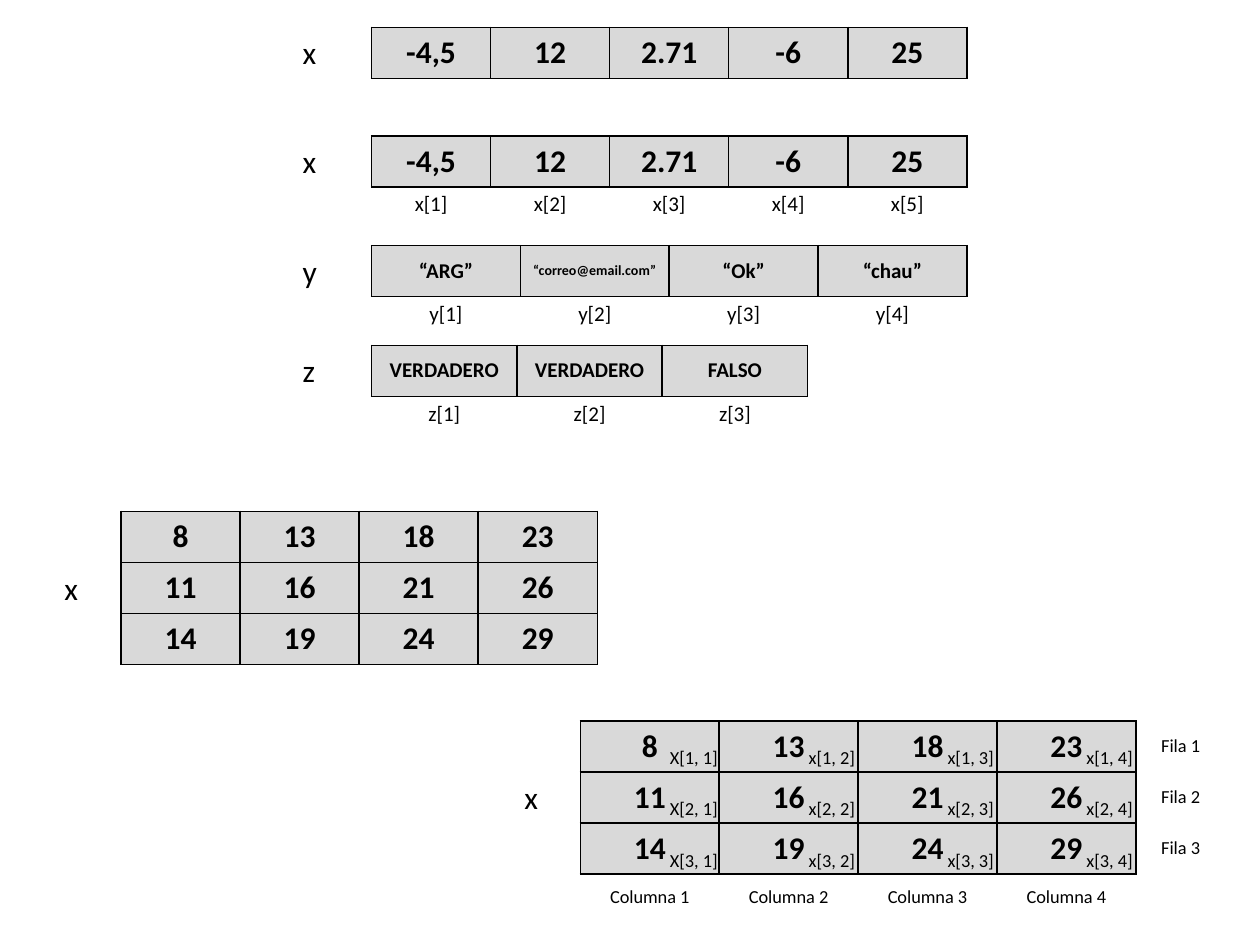
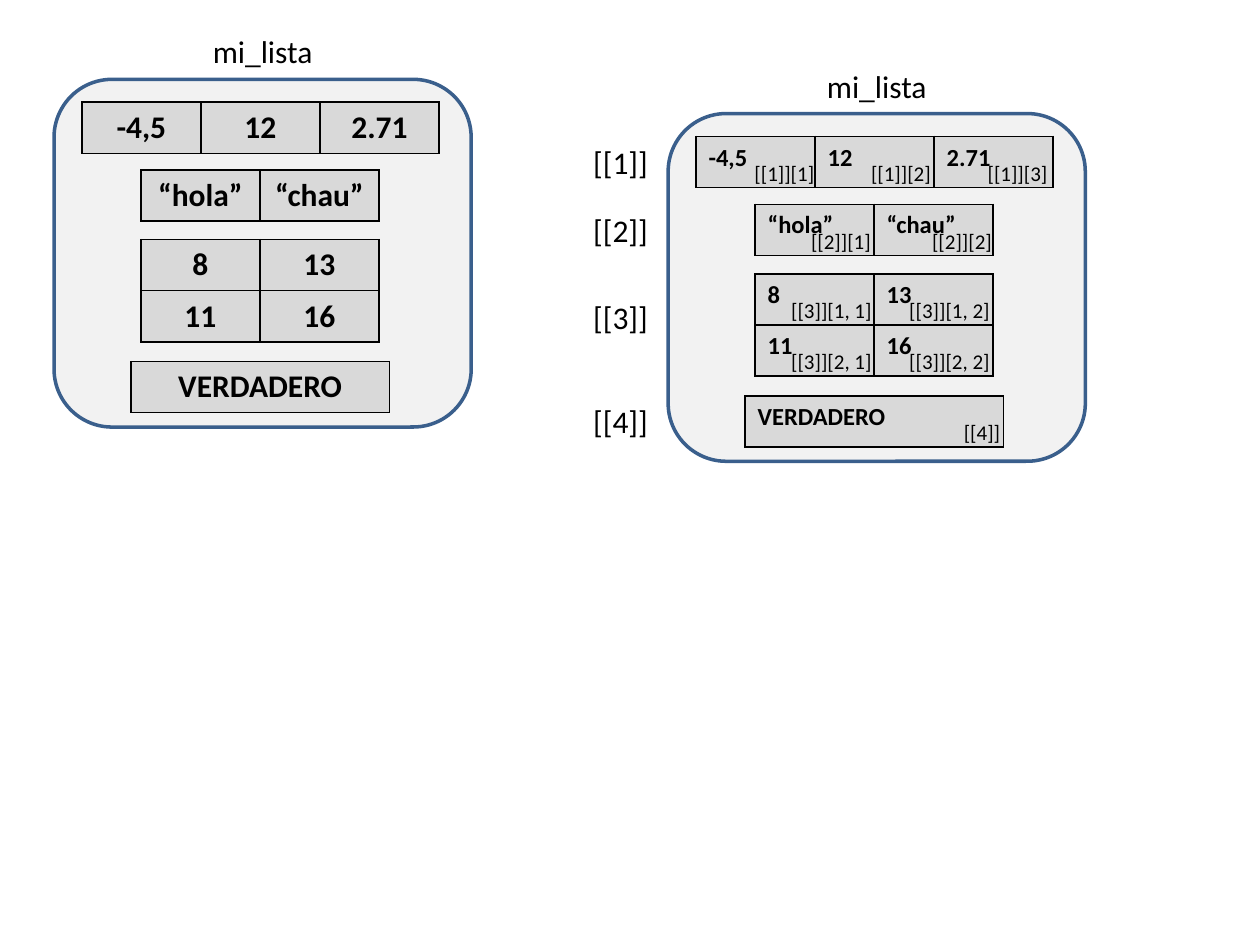
from lxml import etree
from pptx import Presentation
from pptx.dml.color import RGBColor
from pptx.enum import shapes, text
from pptx.oxml import ns
from pptx.util import Cm, Pt

BLACK = RGBColor(0x00, 0x00, 0x00)
CELL_GREY = RGBColor(0xD9, 0xD9, 0xD9)
PANEL_GREY = RGBColor(0xF2, 0xF2, 0xF2)
PANEL_BLUE = RGBColor(0x3A, 0x5F, 0x8C)
FONT = "Calibri"
CENTER, LEFT = text.PP_ALIGN.CENTER, text.PP_ALIGN.LEFT
TOP, MIDDLE = text.MSO_ANCHOR.TOP, text.MSO_ANCHOR.MIDDLE

ROW_H, COL_W, LABEL_H = 1.03, 2.4, 0.6
VECTOR_X, NAME_X, INDEX_DY = 7.49, 6.1, 1.0
NUMBERS = ["-4,5", "12", "2.71", "-6", "25"]
VECTORS = [
    dict(name="x", top=0.55, col=COL_W, size=18, indexed=False, values=NUMBERS),
    dict(name="x", top=2.74, col=COL_W, size=18, indexed=True, values=NUMBERS),
    dict(name="y", top=4.95, col=3.0, size=12, indexed=True,
         values=["“ARG”", "“correo@email.com”", "“Ok”", "“chau”"]),
    dict(name="z", top=6.96, col=2.93, size=12, indexed=True,
         values=["VERDADERO", "VERDADERO", "FALSO"]),
]
SMALL_TEXT = {"“correo@email.com”": 8}

MATRIX = [["8", "13", "18", "23"], ["11", "16", "21", "26"], ["14", "19", "24", "29"]]
MATRICES = [
    dict(left=2.44, top=10.31, col=COL_W, name_x=1.3, indexed=False),
    dict(left=11.7, top=14.53, col=2.8, name_x=10.57, indexed=True),
]

LIST_NAME = "mi_lista"
PANEL_W, PANEL_H, TEXT_W = 8.41, 7.01, 7.87
PANELS = [
    dict(left=1.09, top=1.6, size=18, align=CENTER, indexed=False),
    dict(left=13.47, top=2.29, size=14, align=LEFT, indexed=True),
]
KEY_X = 11.71
BLOCKS = [
    dict(left=0.56, top=0.46, col=COL_W, rows=[["-4,5", "12", "2.71"]],
         index_x=1.49, tab=2.35, index=[["[[1]][1]", "[[1]][2]", "[[1]][3]"]]),
    dict(left=1.75, top=1.83, col=COL_W, rows=[["“hola”", "“chau”"]],
         index_x=2.63, tab=2.44, index=[["[[2]][1]", "[[2]][2]"]]),
    dict(left=1.75, top=3.23, col=COL_W, rows=[["8", "13"], ["11", "16"]],
         index_x=2.23, tab=2.38, index=[["[[3]][1, 1]", "[[3]][1, 2]"],
                                        ["[[3]][2, 1]", "[[3]][2, 2]"]]),
    dict(left=1.55, top=5.69, col=5.21, rows=[["VERDADERO"]],
         index_x=5.71, tab=2.4, index=[["[[4]]"]]),
]


def apply(obj, **values):
    for key, value in values.items():
        setattr(obj, key, value)


def write(p, words, size, bold=False):
    r = p.add_run()
    r.text = words
    apply(r.font, name=FONT, size=Pt(size), bold=bold)
    r.font.color.rgb = BLACK


def border(cell, shaded):
    tc_pr = cell._tc.get_or_add_tcPr()
    for side in ("lnL", "lnR", "lnT", "lnB"):
        ln = etree.SubElement(tc_pr, ns.qn("a:" + side), w=str(Pt(1)))
        if shaded:
            fill = etree.SubElement(ln, ns.qn("a:solidFill"))
            etree.SubElement(fill, ns.qn("a:srgbClr"), val=str(BLACK))
        else:
            etree.SubElement(ln, ns.qn("a:noFill"))


def grid(s, left, top, rows, col, size, row_h=ROW_H, align=CENTER, anchor=TOP, shaded=True):
    n, m = len(rows), len(rows[0])
    table = s.shapes.add_table(n, m, Cm(left), Cm(top), Cm(col * m), Cm(row_h * n)).table
    apply(table, first_row=False, horz_banding=False)
    for column in table.columns:
        column.width = Cm(col)
    for i, values in enumerate(rows):
        table.rows[i].height = Cm(row_h)
        for j, value in enumerate(values):
            cell = table.cell(i, j)
            border(cell, shaded)
            if shaded:
                cell.fill.solid()
                cell.fill.fore_color.rgb = CELL_GREY
            else:
                cell.fill.background()
            cell.vertical_anchor = anchor
            p = cell.text_frame.paragraphs[0]
            p.alignment = align
            write(p, value, SMALL_TEXT.get(value, size), shaded)


def label(s, left, top, words, size=18, width=TEXT_W, height=1.03):
    tf = s.shapes.add_textbox(Cm(left), Cm(top), Cm(width), Cm(height)).text_frame
    tf.word_wrap = True
    write(tf.paragraphs[0], words, size)
    return tf


def variable_name(s, left, top, name):
    tf = label(s, left, top, name, width=0.13)
    apply(tf, margin_left=0, margin_right=0)


def index_line(s, left, top, words, tab):
    p = label(s, left, top, "\t".join(words), 12, height=0.77).paragraphs[0]
    tabs = etree.SubElement(p._p.get_or_add_pPr(), ns.qn("a:tabLst"))
    for k in range(1, len(words)):
        etree.SubElement(tabs, ns.qn("a:tab"), pos=str(Cm(tab * k)), algn="l")


def draw_vector(s, v):
    anchor = TOP if v["size"] == 18 else MIDDLE
    grid(s, VECTOR_X, v["top"], [v["values"]], v["col"], v["size"], anchor=anchor)
    if v["indexed"]:
        names = [f"{v['name']}[{k + 1}]" for k in range(len(v["values"]))]
        grid(s, VECTOR_X, v["top"] + INDEX_DY, [names], v["col"], 12, LABEL_H, shaded=False)
    variable_name(s, NAME_X, v["top"], v["name"])


def draw_matrix(s, m):
    left, top, col = m["left"], m["top"], m["col"]
    n, cols = len(MATRIX), len(MATRIX[0])
    grid(s, left, top, MATRIX, col, 18)
    variable_name(s, m["name_x"], top + ROW_H, "x")
    if m["indexed"]:
        index = [[f"{'x' if j else 'X'}[{i + 1}, {j + 1}]" for j in range(cols)]
                 for i in range(n)]
        columns = [[f"Columna {j + 1}" for j in range(cols)]]
        lines = [[f"Fila {i + 1}"] for i in range(n)]
        grid(s, left + 1.55, top + 0.41, index, col, 10.5, align=LEFT, shaded=False)
        grid(s, left, top + 3.2, columns, col, 10.5, LABEL_H, shaded=False)
        grid(s, left + col * cols, top, lines, 1.8, 10.5, anchor=MIDDLE, shaded=False)


def draw_list(s, panel):
    left, top = panel["left"], panel["top"]
    sp = s.shapes.add_shape(shapes.MSO_SHAPE.ROUNDED_RECTANGLE, Cm(left), Cm(top),
                            Cm(PANEL_W), Cm(PANEL_H))
    sp.shadow.inherit = False
    sp.fill.solid()
    sp.fill.fore_color.rgb = PANEL_GREY
    sp.line.color.rgb = PANEL_BLUE
    sp.line.width = Pt(2)
    for b in BLOCKS:
        grid(s, left + b["left"], top + b["top"], b["rows"], b["col"], panel["size"],
             align=panel["align"])
    label(s, left + 2.95, top - 1.07, LIST_NAME)
    if panel["indexed"]:
        for k, b in enumerate(BLOCKS):
            y = top + b["top"]
            label(s, KEY_X, y + 0.36 * (len(b["rows"]) - 1), f"[[{k + 1}]]")
            for i, words in enumerate(b["index"]):
                index_line(s, left + b["index_x"], y + 0.36 + i * ROW_H, words, b["tab"])


def main():
    prs = Presentation()
    apply(prs, slide_width=Cm(25.4), slide_height=Cm(19.05))
    vectors, lists = [prs.slides.add_slide(prs.slide_layouts[6]) for _ in range(2)]
    for v in VECTORS:
        draw_vector(vectors, v)
    for m in MATRICES:
        draw_matrix(vectors, m)
    for panel in PANELS:
        draw_list(lists, panel)
    prs.save("out.pptx")


if __name__ == "__main__":
    main()
